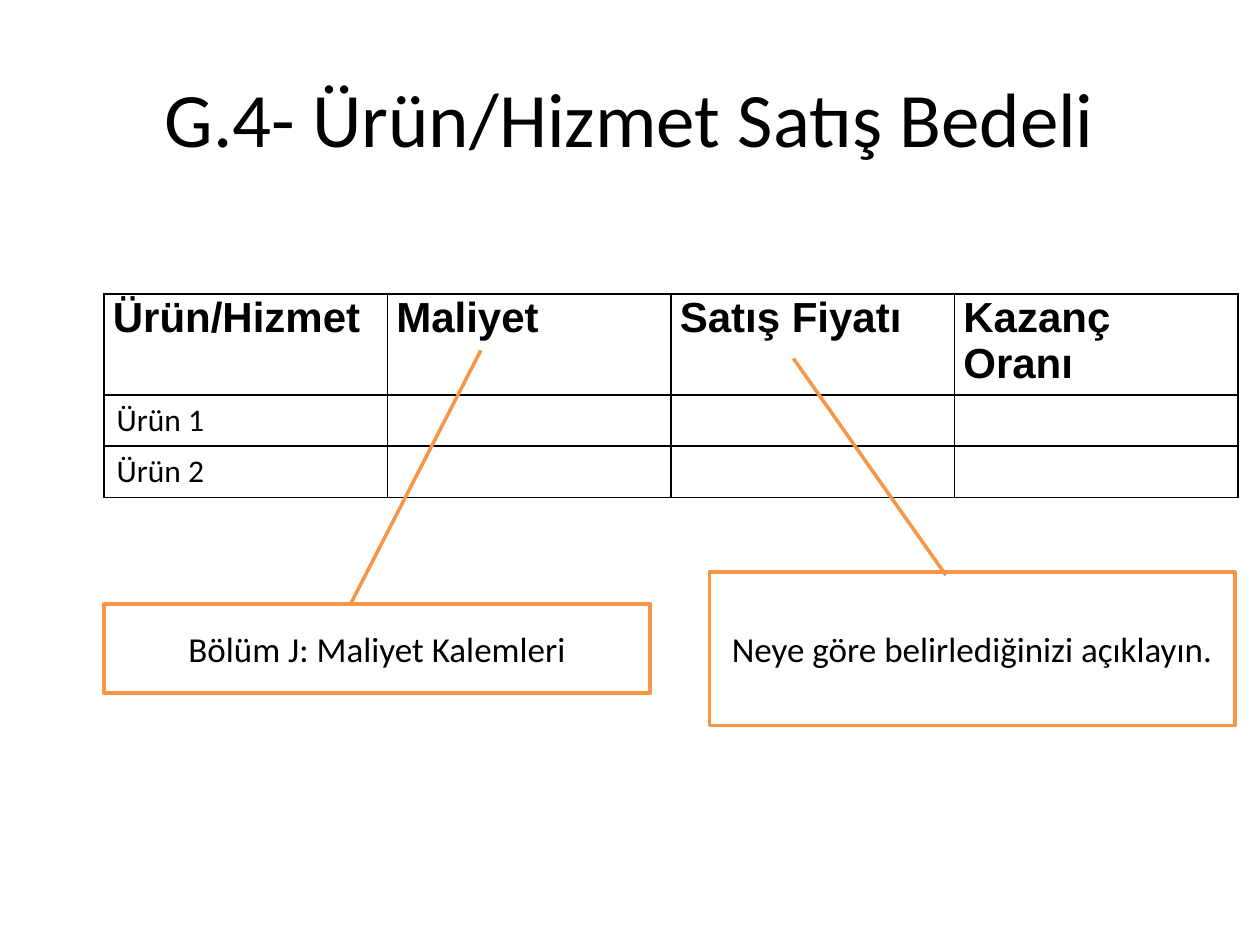
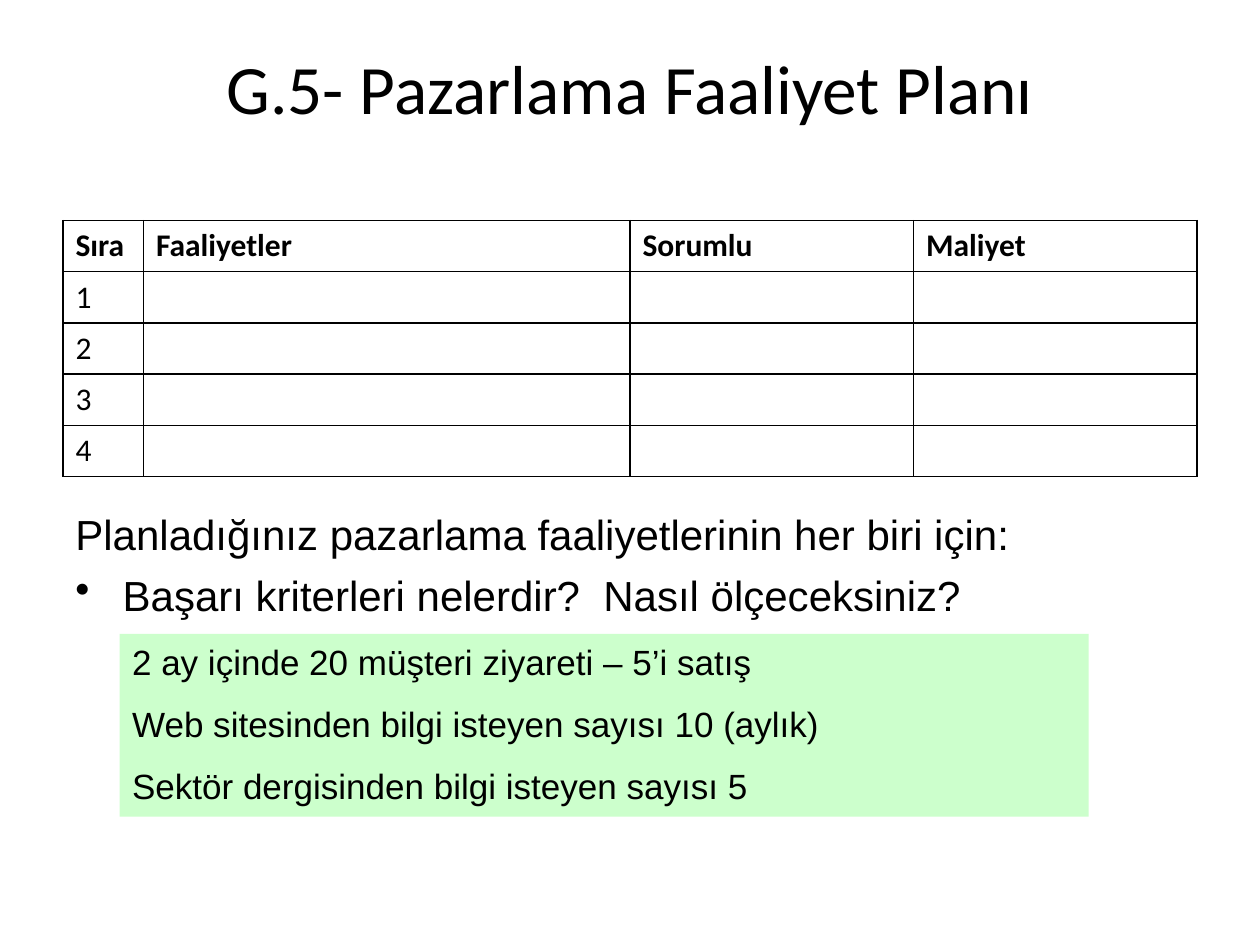
from pptx import Presentation as Deck
from pptx.dml.color import RGBColor as RGB
from pptx.enum.shapes import MSO_SHAPE as Kind
from pptx.enum.text import MSO_ANCHOR as Anchor, PP_ALIGN as Align
from pptx.oxml import parse_xml
from pptx.util import Pt

BLACK = RGB(0, 0, 0)
WHITE = RGB(255, 255, 255)
ORANGE = RGB(0xF7, 0x96, 0x46)
GREEN = RGB(0xCC, 0xFF, 0xCC)
SPACE = 'xmlns:a="http://schemas.openxmlformats.org/drawingml/2006/main"'
BODY = {"name": "Calibri", "size": Pt(18), "bold": False}
BOLD = {**BODY, "bold": True}
HEAD = {"name": "Arial", "size": Pt(24), "bold": True}
LEAD = {**HEAD, "bold": False}
NOTE = {**LEAD, "size": Pt(20)}
CALL = {**BODY, "size": Pt(20)}


def write(frame, lines, style, align=Align.LEFT, gap=0):
    frame.word_wrap = True
    frame.text = "\n".join(lines)
    for para in frame.paragraphs:
        para.alignment = align
        para.space_before = Pt(gap)
        para.font.color.rgb = BLACK
        for key, value in style.items():
            setattr(para.font, key, value)


def draw_grid(slide, spot, widths, heights, rows, style, inset):
    size = sum(widths), sum(heights)
    grid = slide.shapes.add_table(len(rows), len(widths), *map(Pt, spot + size)).table
    grid.first_row = grid.horz_banding = False
    for col, width in zip(grid.columns, widths):
        col.width = Pt(width)
    for i, (row, height) in enumerate(zip(rows, heights)):
        grid.rows[i].height = Pt(height)
        for j, word in enumerate(row):
            cell = grid.cell(i, j)
            write(cell.text_frame, [word], BODY if i else style)
            if i == 0:
                for key, value in inset.items():
                    setattr(cell, key, Pt(value))
            props = cell._tc.get_or_add_tcPr()
            for side in ("lnL", "lnR", "lnT", "lnB"):
                props.append(parse_xml(
                    f'<a:{side} {SPACE} w="12700"><a:solidFill>'
                    f'<a:srgbClr val="{BLACK}"/></a:solidFill></a:{side}>'))
            cell.fill.background()


deck = Deck()
deck.slide_width, deck.slide_height = Pt(720), Pt(540)
slides = []
for title, height, size in (
    ("G.4- Ürün/Hizmet Satış Bedeli", 90, 44),
    ("G.5- Pazarlama Faaliyet Planı", 55.5, 39.6),
):
    slide = deck.slides.add_slide(deck.slide_layouts[6])
    box = slide.shapes.add_textbox(Pt(36), Pt(21.6), Pt(648), Pt(height))
    box.text_frame.vertical_anchor = Anchor.MIDDLE
    write(box.text_frame, [title], {**BODY, "size": Pt(size)}, Align.CENTER)
    slides.append(slide)
price, plan = slides

draw_grid(
    price, (59.5, 168), [162] * 4, [53.2, 29.3, 29.3],
    [["Ürün/Hizmet", "Maliyet", "Satış Fiyatı", "Kazanç Oranı"],
     ["Ürün 1", "", "", ""],
     ["Ürün 2", "", "", ""]],
    HEAD,
    {"margin_left": 5, "margin_right": 5, "margin_top": 0, "margin_bottom": 0})

for text, spot, bends in (
    ("Neye göre belirlediğinizi açıklayın.", (405.4, 326.9, 300.2, 87.8),
     (0.02, 0.45, -1.39, 0.16)),
    ("Bölüm J: Maliyet Kalemleri", (59.5, 345, 312, 51),
     (0.02, 0.45, -2.84, 0.69)),
):
    call = price.shapes.add_shape(Kind.LINE_CALLOUT_1, *map(Pt, spot))
    for i, bend in enumerate(bends):
        call.adjustments[i] = bend
    call.shadow.inherit = False
    call.fill.solid()
    call.fill.fore_color.rgb = WHITE
    call.line.color.rgb = ORANGE
    call.line.width = Pt(2)
    call.text_frame.vertical_anchor = Anchor.MIDDLE
    write(call.text_frame, [text], CALL, Align.CENTER)

draw_grid(
    plan, (36, 126), [46, 278, 162, 162], [29.3] * 5,
    [["Sıra", "Faaliyetler", "Sorumlu", "Maliyet"]]
    + [[str(n), "", "", ""] for n in range(1, 5)],
    BOLD, {})

lead = plan.shapes.add_textbox(Pt(36), Pt(287.3), Pt(618.5), Pt(109.4)).text_frame
write(lead, ["Planladığınız pazarlama faaliyetlerinin her biri için:",
             "Başarı kriterleri nelerdir?  Nasıl ölçeceksiniz?"], LEAD, gap=5.5)
for para, mark in zip(lead.paragraphs, ("buNone", 'buChar char="•"')):
    props = para._p.get_or_add_pPr()
    props.set("marL", str(Pt(27)))
    props.set("indent", str(-Pt(27)))
    props.append(parse_xml(f"<a:{mark.replace(' ', f' {SPACE} ', 1)}/>" if " " in mark
                           else f"<a:{mark} {SPACE}/>"))

note = plan.shapes.add_shape(Kind.RECTANGLE, Pt(68.4), Pt(362.2), Pt(553.7), Pt(104.4))
note.shadow.inherit = False
note.fill.solid()
note.fill.fore_color.rgb = GREEN
note.line.fill.background()
note.text_frame.vertical_anchor = Anchor.TOP
write(note.text_frame, ["2 ay içinde 20 müşteri ziyareti – 5’i satış",
                        "Web sitesinden bilgi isteyen sayısı 10 (aylık)",
                        "Sektör dergisinden bilgi isteyen sayısı 5"], NOTE, gap=11.4)

deck.save("out.pptx")
